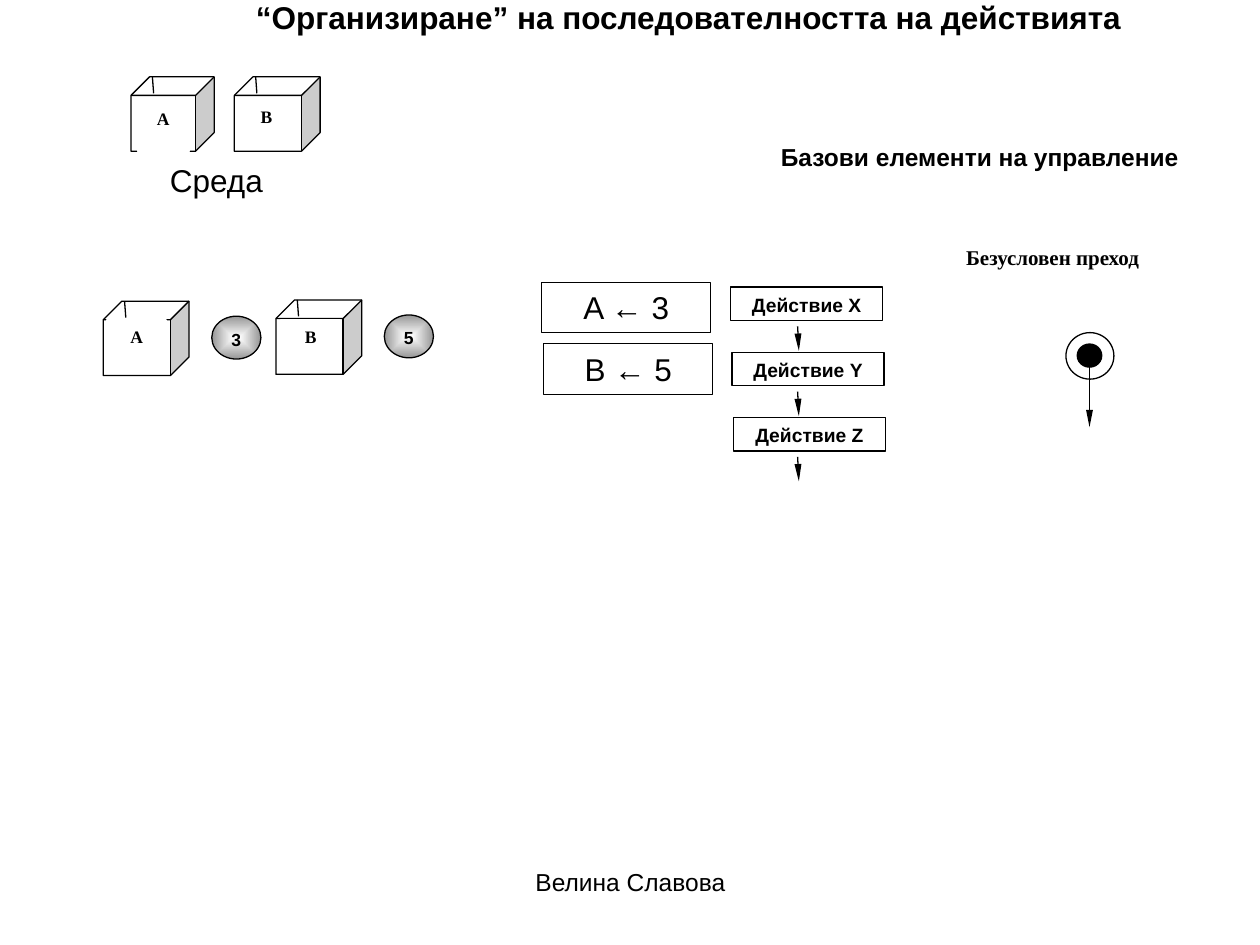
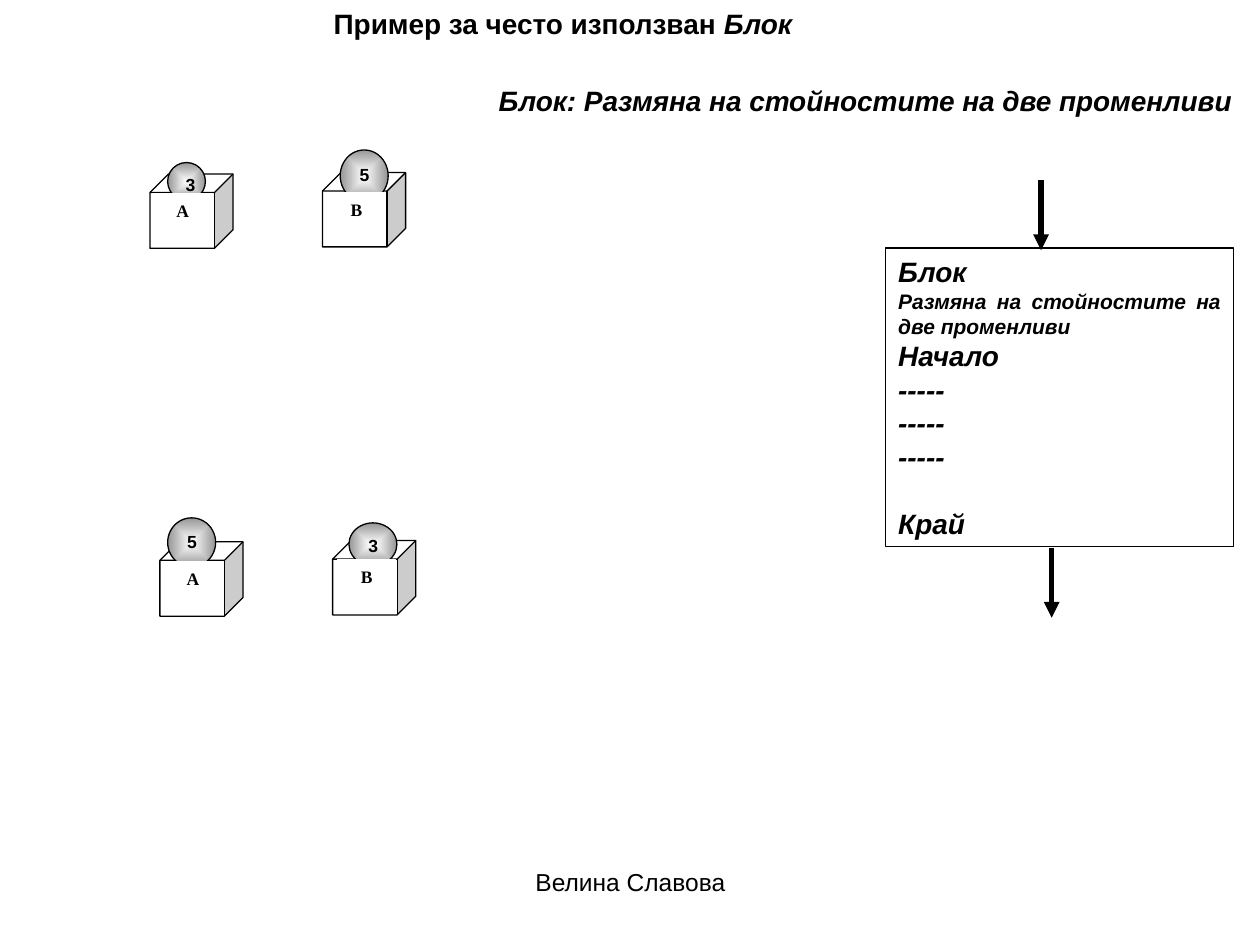
"""Builds two slides on ordering actions and on swapping the values of two variables."""
from lxml.etree import SubElement
from pptx import Presentation
from pptx.dml.color import RGBColor
from pptx.enum.shapes import MSO_CONNECTOR, MSO_SHAPE as SHAPE
from pptx.enum.text import MSO_ANCHOR as ANCHOR, PP_ALIGN as ALIGN
from pptx.oxml.ns import qn
from pptx.util import Pt

color = RGBColor.from_string
BLACK, WHITE, GRAY = "000000", "FFFFFF", "969696"
CUBE_HEIGHT = 42.5
CENTER = {"alignment": ALIGN.CENTER}
JUSTIFY = {"alignment": ALIGN.JUSTIFY}
MIDDLE = {"vertical_anchor": ANCHOR.MIDDLE}
ONE_LINE = {"word_wrap": False}
BASE_FRAME = {
    "word_wrap": True, "vertical_anchor": ANCHOR.TOP,
    "margin_left": Pt(7.2), "margin_right": Pt(7.2),
    "margin_top": Pt(3.6), "margin_bottom": Pt(3.6),
}
BASE_FONT = {"name": "Arial", "size": Pt(18), "bold": False, "italic": False}
TITLE = {"size": Pt(16), "bold": True}
BLOCK = {**TITLE, "italic": True}
ACTION = {"size": Pt(11), "bold": True}
BALL = {"size": Pt(10), "bold": True}
LETTER = {**BALL, "name": "Times New Roman"}


def add_item(slide, kind, box, paragraphs=(), fill=None, line=BLACK, font={}, frame={}, layout={}):
    """Adds a preset shape, or a text box if kind is None; a paragraph is a list of (text, font) runs."""
    lengths = [Pt(value) for value in box]
    if kind is None:
        shape = slide.shapes.add_textbox(*lengths)
    else:
        shape = slide.shapes.add_shape(kind, *lengths)
        shape.shadow.inherit = False
        shape.line.color.rgb = color(line)
        shape.line.width = Pt(0.75)
        if fill == "gradient":
            shape.fill.gradient()
            for stop, stop_color in zip(shape.fill.gradient_stops, (WHITE, GRAY)):
                stop.color.rgb = color(stop_color)
            gradient = shape._element.spPr.find(qn("a:gradFill"))
            gradient.remove(gradient.find(qn("a:lin")))
            center = SubElement(gradient, qn("a:path"), {"path": "rect"})
            SubElement(center, qn("a:fillToRect"), dict.fromkeys("ltrb", "50000"))
        elif fill:
            shape.fill.solid()
            shape.fill.fore_color.rgb = color(fill)
        else:
            shape.fill.background()
    for name, value in {**BASE_FRAME, **frame}.items():
        setattr(shape.text_frame, name, value)
    for index, runs in enumerate(paragraphs):
        paragraph = shape.text_frame.paragraphs[0] if index == 0 else shape.text_frame.add_paragraph()
        for name, value in {"alignment": ALIGN.LEFT, **layout}.items():
            setattr(paragraph, name, value)
        for text, run_font in runs:
            run = paragraph.add_run()
            run.text = text
            run.font.color.rgb = color(BLACK)
            for name, value in {**BASE_FONT, **font, **run_font}.items():
                setattr(run.font, name, value)
    return shape


def add_line(slide, points, width=0.75, head=None):
    """Adds a straight line; head gives the width and length of its arrowhead."""
    connector = slide.shapes.add_connector(MSO_CONNECTOR.STRAIGHT, *[Pt(value) for value in points])
    connector.line.color.rgb = color(BLACK)
    connector.line.width = Pt(width)
    if head:
        SubElement(connector.line._get_or_add_ln(), qn("a:tailEnd"),
                   {"type": "triangle", "w": head[0], "len": head[1]})
    SubElement(connector._element.spPr, qn("a:effectLst"))


presentation = Presentation()
presentation.slide_width, presentation.slide_height = Pt(720), Pt(540)
order_slide, swap_slide = [
    presentation.slides.add_slide(presentation.slide_layouts[6]) for _ in range(2)
]

variables = [
    (order_slide, "А", (74.9, 43.9, 47.5), (78.5, 58.3, 29.5, 28.1), None, None),
    (order_slide, "B", (133.9, 43.9, 49), (135.4, 56.9, 33.8, 27.4), None, None),
    (order_slide, "А", (59, 172.1, 49), (61.2, 182.9, 33.8, 27.4), "3", (121, 180.7, 28.1, 24.5)),
    (order_slide, "B", (157.7, 171.4, 49), (160.6, 182.9, 33.8, 27.4), "5", (219.6, 180, 28.1, 24.5)),
    (swap_slide, "А", (85.7, 99.4, 47.5), (87.1, 110.9, 34.6, 28.8), "3", (95.8, 92.9, 21.6, 21.6)),
    (swap_slide, "B", (184.3, 98.6, 47.5), (187.2, 110.2, 33.1, 28.1), "5", (194.4, 85.7, 27.4, 29.5)),
    (swap_slide, "А", (91.4, 309.6, 47.5), (92.9, 321.1, 34.6, 28.8), "5", (95.8, 295.9, 27.4, 28.1)),
    (swap_slide, "B", (190.1, 308.9, 47.5), (193, 319.7, 33.1, 28.1), "3", (199.4, 298.8, 27.4, 24.5)),
]
for slide, letter, (left, top, width), label_box, value, ball_box in variables:
    add_item(slide, SHAPE.CUBE, (left, top, width, CUBE_HEIGHT), fill=WHITE)
    add_line(slide, (left + 12.2, top, left + 12.9, top + 9.4))
    if value:
        add_item(slide, SHAPE.OVAL, ball_box, [[(value, {})]], fill="gradient", font=BALL)
    add_item(slide, SHAPE.RECTANGLE, label_box, [[(letter, {})]], fill=WHITE, line=WHITE,
             font=LETTER, layout=CENTER)

add_item(order_slide, None, (38.2, -13.7, 610.6, 58.3),
         [[("“Организиране” на последователността на действията", {})]], font={"bold": True},
         frame={"margin_left": Pt(108), "margin_right": Pt(0), "margin_top": Pt(12.6)})
add_item(order_slide, None, (90, 88.6, 89, 28.8), [[("Среда", {})]], frame=ONE_LINE)
add_item(order_slide, None, (301, 77.8, 517.7, 57.6), [[("Базови елементи на управление", {})]],
         font={"size": Pt(14), "bold": True}, layout=CENTER)
add_item(order_slide, None, (545, 136.1, 162, 36.7), [[("Безусловен преход", {})]],
         font={"name": "Times New Roman", "size": Pt(12), "bold": True})

for index, assignment in enumerate(["A ← 3", "B ← 5"]):
    add_item(order_slide, SHAPE.RECTANGLE, (309.6 + 1.2 * index, 161.3 + 35.2 * index, 96.5, 28.8),
             [[(assignment, {})]], layout=CENTER)

for index, action in enumerate("XYZ"):
    left, top = 417.6 + 0.8 * index, 164 + 37.3 * index
    add_item(order_slide, SHAPE.RECTANGLE, (left, top, 86.8, 19.2), [[(f"Действие {action}", {})]],
             fill=WHITE, font=ACTION, layout=CENTER)
    add_line(order_slide, (455.8, top + 22.5, 456.5, top + 36.5), head=("sm", "lg"))

add_item(order_slide, SHAPE.OVAL, (609.1, 190.1, 27.4, 26.6), fill=WHITE)
add_item(order_slide, SHAPE.OVAL, (615.6, 196.6, 14, 13.2), fill=BLACK)
add_line(order_slide, (622.6, 203, 622.6, 244.1), head=("sm", "lg"))

add_item(swap_slide, None, (183.6, 0, 277.2, 26.6),
         [[("Пример за често използван ", {}), ("Блок", {"italic": True})]],
         font=TITLE, frame={**MIDDLE, **ONE_LINE}, layout=JUSTIFY)
add_item(swap_slide, None, (277.9, 43.9, 434.2, 26.6),
         [[("Блок: Размяна на стойностите на две променливи", {})]],
         font=BLOCK, frame={**MIDDLE, **ONE_LINE}, layout=JUSTIFY)
block_lines = [
    ("Блок", {}), ("Размяна на стойностите на две променливи", {"size": Pt(12)}), ("Начало", {}),
    *[("-----", {})] * 3, ("Край", {}),
]
block = add_item(swap_slide, SHAPE.RECTANGLE, (506.2, 141.8, 198.7, 170.6),
                 [[line] for line in block_lines], font=BLOCK, frame=MIDDLE, layout=JUSTIFY)
block.text_frame.paragraphs[-1].space_before = Pt(19)
for x, top in [(594.9, 103), (601, 313)]:
    add_line(swap_slide, (x, top, x, top + 40), width=3, head=("med", "med"))

for slide in (order_slide, swap_slide):
    add_item(slide, None, (246.2, 491.8, 228.2, 37.4), [[("Велина Славова", {})]],
             font={"size": Pt(14)}, layout=CENTER)

presentation.save("out.pptx")
